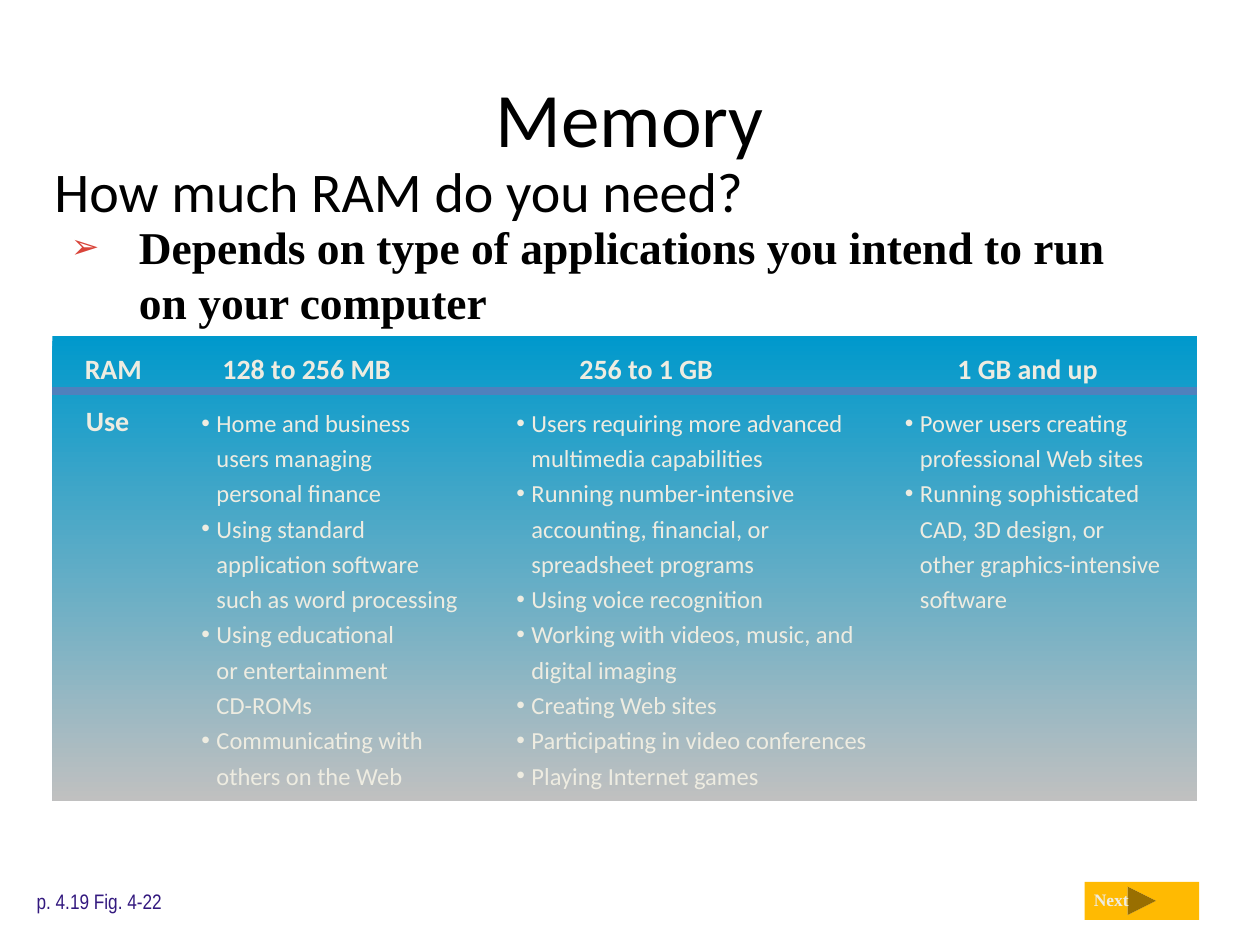
from dataclasses import dataclass

from lxml import etree
from pptx import Presentation
from pptx.dml.color import RGBColor
from pptx.enum.shapes import MSO_CONNECTOR, MSO_SHAPE
from pptx.enum.text import MSO_ANCHOR, PP_ALIGN
from pptx.oxml.ns import qn
from pptx.util import Inches, Pt

CENTER, LEFT = PP_ALIGN.CENTER, PP_ALIGN.LEFT
MIDDLE, TOP = MSO_ANCHOR.MIDDLE, MSO_ANCHOR.TOP
STRAIGHT = MSO_CONNECTOR.STRAIGHT
RECTANGLE = MSO_SHAPE.RECTANGLE
NEXT_BUTTON = MSO_SHAPE.ACTION_BUTTON_FORWARD_OR_NEXT
COLUMNS, ROWS = 120, 90


@dataclass(frozen=True)
class Theme:
    ink: str = "000000"
    light: str = "EEECE1"
    rule: str = "4F81BD"
    panel_top: str = "0099CC"
    panel_bottom: str = "C0C0C0"
    button: str = "FFBA02"
    arrow: str = "D94439"
    reference: str = "33197F"
    sans: str = "Calibri"
    serif: str = "Times New Roman"
    narrow: str = "Arial Narrow"
    title: int = 44
    question: int = 32
    answer: int = 26
    heading: int = 16
    item: int = 14
    footer: int = 12
    label: int = 10


@dataclass(frozen=True)
class Bullet:
    mark: str
    margin: float
    hang: float
    color: str = ""
    percent: int = 100


class SlideBuilder:
    """Places elements on a grid of 120 columns by 90 rows."""

    def __init__(self, deck, theme):
        self.theme = theme
        self.cell_width = deck.slide_width / COLUMNS
        self.cell_height = deck.slide_height / ROWS
        self.page = deck.slides.add_slide(deck.slide_layouts[6])

    def place(self, column, row, columns, rows):
        return (round(column * self.cell_width), round(row * self.cell_height),
                round(columns * self.cell_width), round(rows * self.cell_height))

    def text(self, area, paragraphs, size, font, color, bold=False,
             align=LEFT, anchor=TOP, spacing=None, bullet=None):
        box = self.page.shapes.add_textbox(*self.place(*area))
        frame = box.text_frame
        frame.word_wrap = True
        frame.vertical_anchor = anchor
        font_values = {"size": Pt(size), "name": font, "bold": bold}
        for index, words in enumerate(paragraphs):
            para = frame.add_paragraph() if index else frame.paragraphs[0]
            para.text = words
            para.alignment = align
            if spacing:
                para.line_spacing = spacing
            if bullet:
                self.add_bullet(para, bullet)
            for span in para.runs:
                for name, value in font_values.items():
                    setattr(span.font, name, value)
                span.font.color.rgb = RGBColor.from_string(color)

    def add_bullet(self, para, bullet):
        # Bullet children follow the schema order: colour, size, font, character
        properties = para._p.get_or_add_pPr()
        properties.set("marL", str(Inches(bullet.margin)))
        properties.set("indent", str(-Inches(bullet.hang)))
        if bullet.color:
            holder = etree.SubElement(properties, qn("a:buClr"))
            etree.SubElement(holder, qn("a:srgbClr"), val=bullet.color)
        etree.SubElement(properties, qn("a:buSzPct"), val=str(bullet.percent * 1000))
        etree.SubElement(properties, qn("a:buFont"), typeface="Arial")
        etree.SubElement(properties, qn("a:buChar"), char=bullet.mark)

    def shape(self, kind, area):
        shape = self.page.shapes.add_shape(kind, *self.place(*area))
        shape.shadow.inherit = False
        shape.line.fill.background()
        return shape

    def solid(self, kind, area, color):
        fill = self.shape(kind, area).fill
        fill.solid()
        fill.fore_color.rgb = RGBColor.from_string(color)

    def gradient(self, kind, area, colors):
        fill = self.shape(kind, area).fill
        fill.gradient()
        fill.gradient_angle = 270
        for position, (stop, color) in enumerate(zip(fill.gradient_stops, colors)):
            stop.position = position
            stop.color.rgb = RGBColor.from_string(color)

    def rule(self, column, row, columns, color, width):
        left, top, length, _ = self.place(column, row, columns, 0)
        line = self.page.shapes.add_connector(STRAIGHT, left, top, left + length, top)
        line.line.color.rgb = RGBColor.from_string(color)
        line.line.width = Pt(width)
        etree.SubElement(line._element.spPr, qn("a:effectLst"))


# Heading column, heading, list area (column, columns, rows), uses
RAM_SIZES = [
    (20, "128 to 256 MB", (18, 29, 38.2), [
        "Home and business\nusers managing\npersonal finance",
        "Using standard\napplication software\nsuch as word processing",
        "Using educational\nor entertainment\nCD-ROMs",
        "Communicating with others on the Web"]),
    (54, "256 to 1 GB", (48, 42, 38.2), [
        "Users requiring more advanced multimedia capabilities",
        "Running number-intensive\naccounting, financial, or\nspreadsheet programs",
        "Using voice recognition",
        "Working with videos, music, and\ndigital imaging",
        "Creating Web sites",
        "Participating in video conferences",
        "Playing Internet games"]),
    (90, "1 GB and up", (85, 35, 21.4), [
        "Power users creating professional Web sites",
        "Running sophisticated\nCAD, 3D design, or\nother graphics-intensive software"]),
]


def main():
    deck = Presentation()
    deck.slide_width, deck.slide_height = Inches(10), Inches(7.5)
    theme = Theme()
    slide = SlideBuilder(deck, theme)

    # Title and question
    slide.text((6, 3.6, 108, 15), ["Memory"], theme.title, theme.sans, theme.ink,
               align=CENTER, anchor=MIDDLE)
    slide.text((4, 14.3, 112.7, 7.7), ["How much RAM do you need?"],
               theme.question, theme.sans, theme.ink)

    # Page reference and next button
    slide.text((2.3, 84, 20.3, 3.6), ["p. 4.19 Fig. 4-22"],
               theme.footer, theme.narrow, theme.reference)
    slide.solid(NEXT_BUTTON, (103.3, 84, 10.9, 3.6), theme.button)
    slide.text((103, 84.1, 6.1, 3.2), ["Next"],
               theme.label, theme.serif, theme.light, bold=True)

    # Answer
    slide.text((4, 20.3, 112.7, 18.7),
               ["Depends on type of applications you intend to run\non your computer"],
               theme.answer, theme.serif, theme.ink, bold=True,
               bullet=Bullet("➢", 0.67, 0.54, theme.arrow, 75))

    # Panel with its rule
    slide.gradient(RECTANGLE, (5, 32, 109, 44.3), (theme.panel_top, theme.panel_bottom))
    slide.rule(5, 37.2, 109, theme.rule, 4.5)

    # Row labels and column headings
    heading_row, use_row, list_row = 32.3, 37.2, 37.7
    headings = [(6.9, heading_row, 12, "RAM"), (7, use_row, 9, "Use")]
    headings += [(column, heading_row, 20, name) for column, name, *_ in RAM_SIZES]
    for column, row, columns, name in headings:
        slide.text((column, row, columns, 5), [name], theme.heading, theme.sans,
                   theme.light, bold=True, spacing=1.2)

    # Uses for each memory size
    for _, _, (column, columns, rows), uses in RAM_SIZES:
        slide.text((column, list_row, columns, rows), uses, theme.item, theme.sans,
                   theme.light, spacing=1.2, bullet=Bullet("•", 0.12, 0.12))

    deck.save("out.pptx")


if __name__ == "__main__":
    main()
